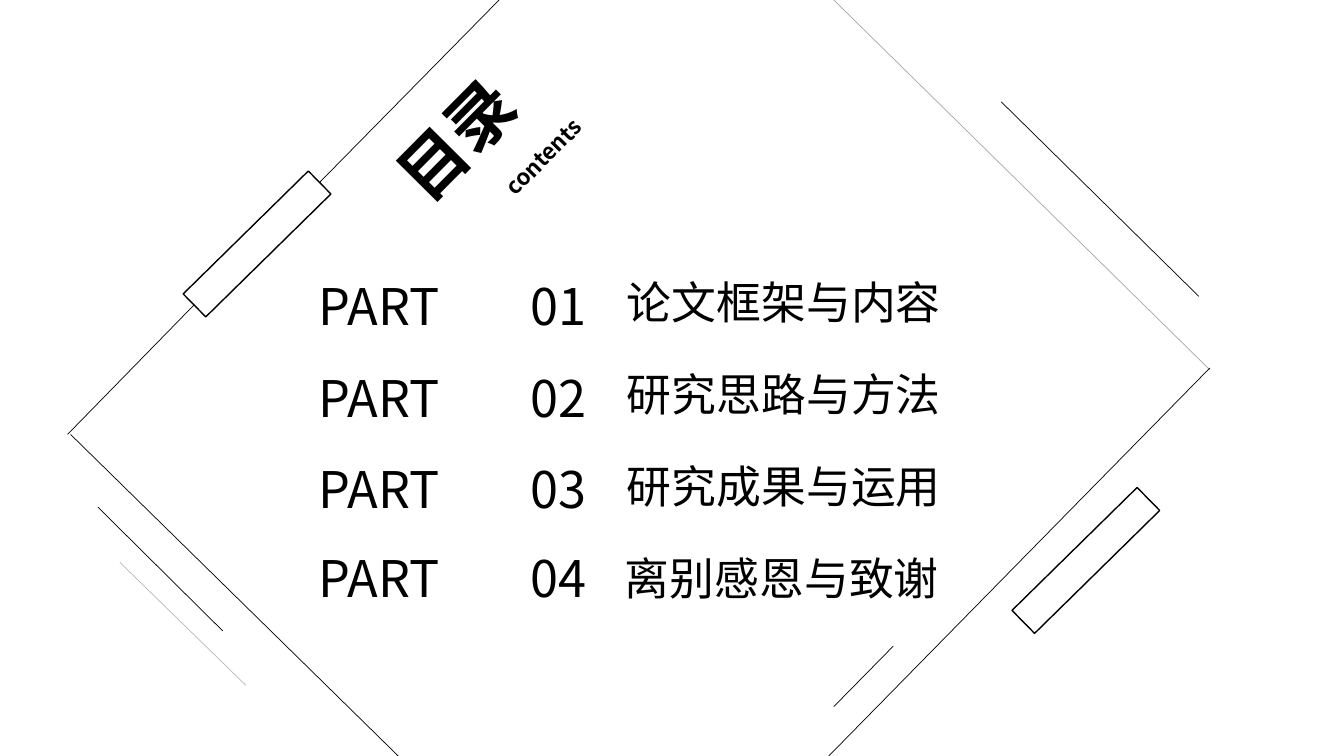
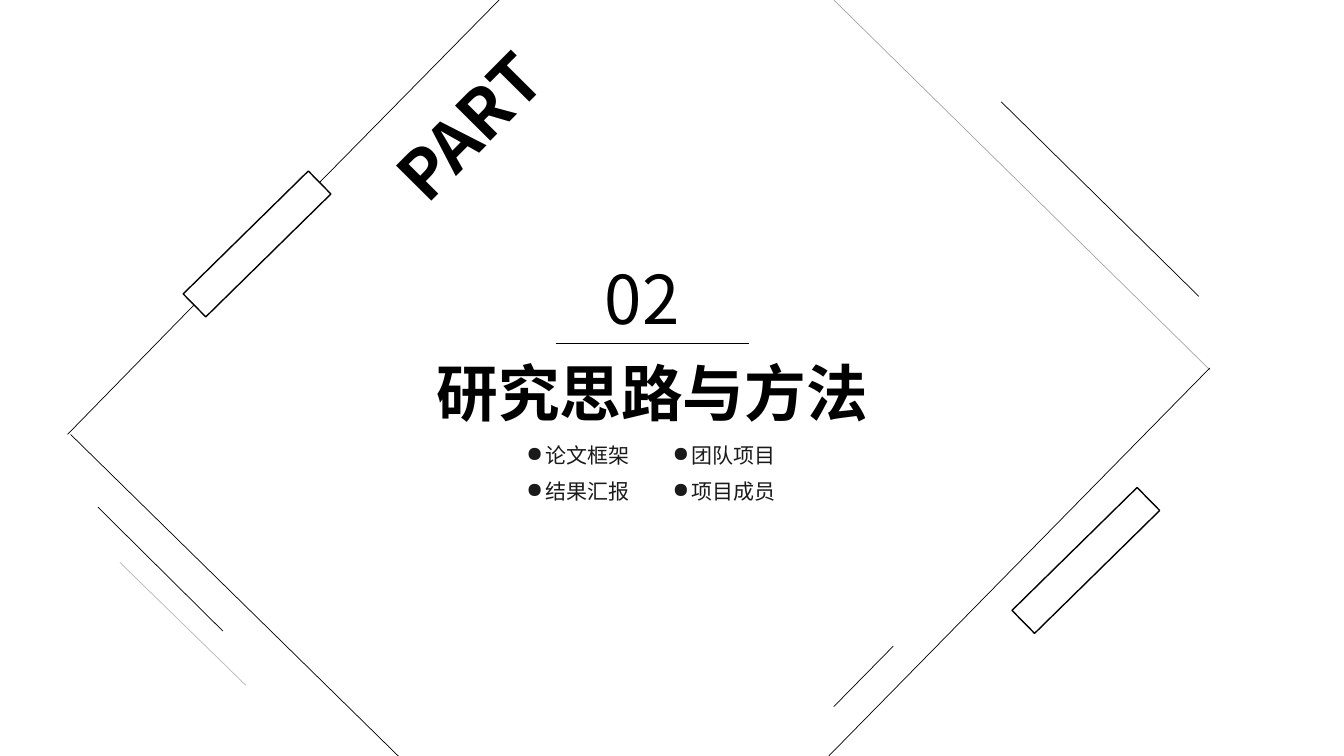
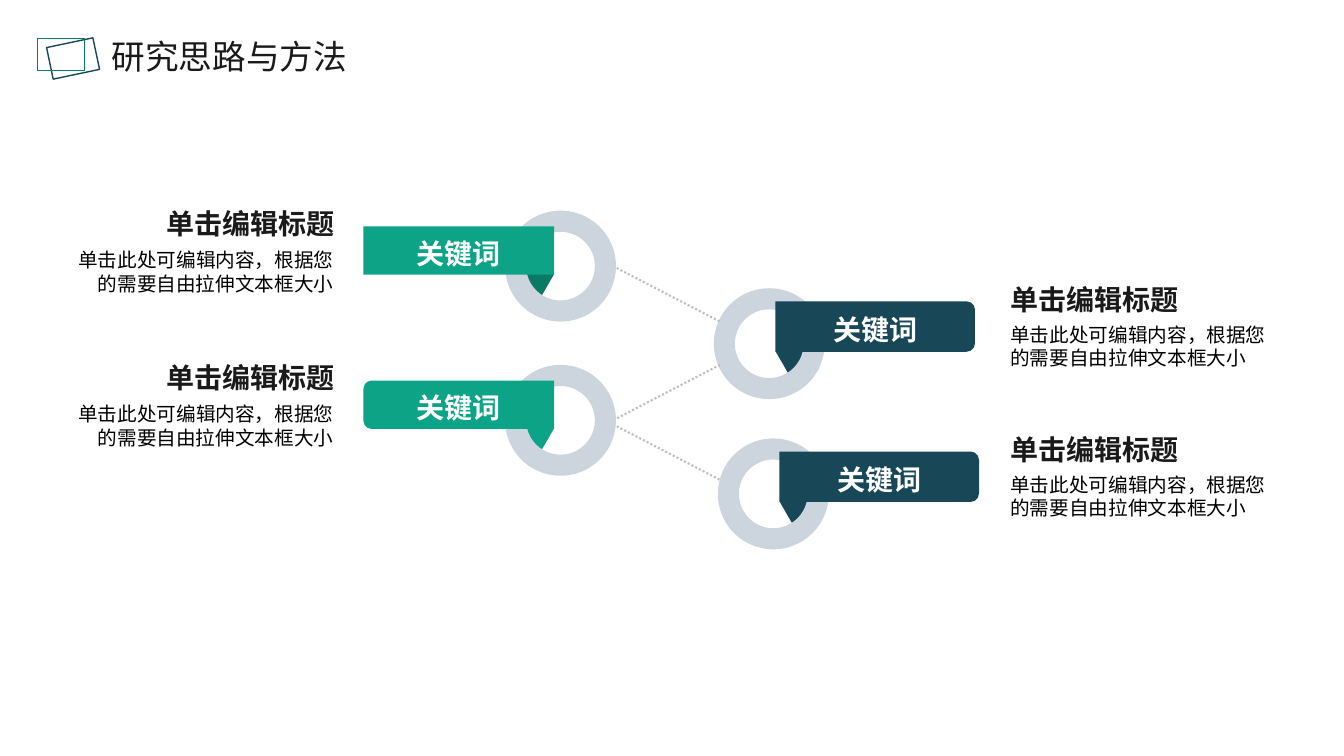
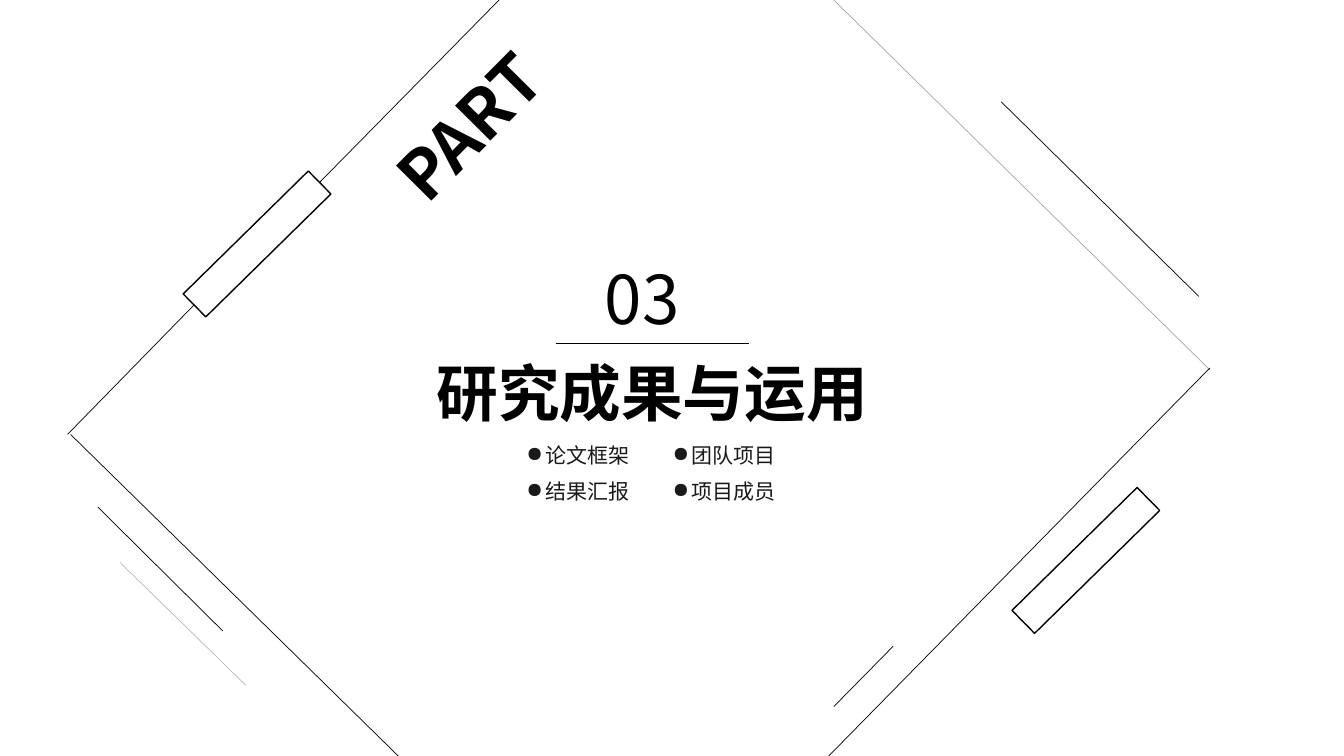
"""Builds four slides of a thesis defence deck: contents, two section pages and a keyword diagram."""
import pptx
import pptx.util
import pptx.dml.color
import pptx.enum.dml
import pptx.enum.shapes
import pptx.enum.text
import pptx.oxml.ns
import lxml.etree

Inches = pptx.util.Inches
SHAPE = pptx.enum.shapes.MSO_SHAPE
ALIGN = {
    "left": pptx.enum.text.PP_ALIGN.LEFT,
    "center": pptx.enum.text.PP_ALIGN.CENTER,
    "right": pptx.enum.text.PP_ALIGN.RIGHT,
    "justify": pptx.enum.text.PP_ALIGN.JUSTIFY,
}
ANCHOR = {
    "top": pptx.enum.text.MSO_ANCHOR.TOP,
    "bottom": pptx.enum.text.MSO_ANCHOR.BOTTOM,
}

CJK = "Noto Sans CJK SC"
LATIN = "Arial"
BLACK, INK, WHITE = "000000", "1A1A1A", "FFFFFF"
NAVY, GREEN, DARK_GREEN = "184858", "0DA386", "0A7A64"
RING, DOTS = "CCD4DE", "BFBFBF"
PADDING = (0.1, 0.05, 0.1, 0.05)
FLUSH = (0, 0, 0, 0)

FRAME_LINES = [
    ((4.95, 0), (3.17, 1.81), 100),
    ((3.95, 7.5), (0.7, 4.31), 100),
    ((12, 3.67), (8.27, 0), 34),
    ((11.89, 2.94), (9.93, 1.01), 100),
    ((12, 3.65), (8.22, 7.5), 100),
    ((2.21, 6.26), (0.97, 5.03), 100),
    ((2.44, 6.8), (1.19, 5.58), 28),
    ((8.86, 6.41), (8.27, 7.01), 100),
    ((1.93, 3.02), (0.67, 4.31), 100),
]
FRAME_BARS = [(1.68, 2.26, 1.74, 0.32), (9.9, 5.4, 1.74, 0.32)]
CORNER = (3.62, 0.59, 2.47, 0.91)
CORNER_TURN = 314.8

CONTENTS_TOP, CONTENTS_STEP = 2.68, 0.91
CONTENTS = [
    ("01", "论文框架与内容", 6.12, 0),
    ("02", "研究思路与方法", 6.12, 0),
    ("03", "研究成果与运用", 6.12, 0),
    ("04", "离别感恩与致谢", 6.1, -0.03),
]
TOPICS = [["论文框架", "团队项目"], ["结果汇报", "项目成员"]]
TOPIC_COLUMNS = [(5.22, 1.71), (6.67, 1.09)]

KEYWORD = "关键词"
HEADING = "单击编辑标题"
BODY = "单击此处可编辑内容，根据您的需要自由拉伸文本框大小"
SIDES = {
    "left": dict(tail=(0.07, 0.55), tail_turn=300, banner=(-0.7, -0.55, 0.48, 1.89),
                 banner_turn=270, label=(-0.88, 0.22), heading=(1.48, -0.04),
                 body=(0.76, 0.37), align="right"),
    "right": dict(tail=(0.66, 0.55), tail_turn=60, banner=(1.35, -0.61, 0.5, 1.98),
                  banner_turn=90, label=(1.18, 0.2), heading=(10.02, -0.06),
                  body=(10.02, 0.34), align="left"),
}
RIGHT_NODES = [(7.08, 2.86, NAVY, NAVY, True), (7.12, 4.35, NAVY, NAVY, True)]
LEFT_NODES = [(5.01, 2.09, GREEN, DARK_GREEN, False), (5.01, 3.62, GREEN, GREEN, True)]
LINKS = [
    ((6.08, 2.64), (7.14, 3.19)),
    ((7.14, 3.62), (6.08, 4.17)),
    ((6.08, 4.21), (7.14, 4.76)),
]


def color(value):
    return pptx.dml.color.RGBColor.from_string(value)


def place(item, area, turn=0):
    item.left, item.top, item.width, item.height = (Inches(value) for value in area)
    item.rotation = turn


def write(box, text, size=16, font=CJK, fill=BLACK, bold=False, align="left", anchor="top",
          padding=PADDING, wrap=True, spacing=1.0, bullet=None):
    frame = box.text_frame
    frame.word_wrap = wrap
    frame.auto_size = pptx.enum.text.MSO_AUTO_SIZE.SHAPE_TO_FIT_TEXT
    frame.vertical_anchor = ANCHOR[anchor]
    (frame.margin_left, frame.margin_top,
     frame.margin_right, frame.margin_bottom) = (Inches(value) for value in padding)
    para = frame.paragraphs[0]
    para.alignment = ALIGN[align]
    para.line_spacing = spacing
    if bullet:
        properties = para._p.get_or_add_pPr()
        properties.set("marL", str(Inches(0.19)))
        properties.set("indent", str(-Inches(0.19)))
        mark = lxml.etree.SubElement(properties, pptx.oxml.ns.qn("a:buChar"))
        mark.set("char", bullet)
    span = para.add_run()
    span.text = text
    span.font.size = pptx.util.Pt(size)
    span.font.bold = bold
    span.font.color.rgb = color(fill)
    span.font.name = font
    east_asian = lxml.etree.SubElement(span._r.get_or_add_rPr(), pptx.oxml.ns.qn("a:ea"))
    east_asian.set("typeface", CJK)


def add_text(page, area, text, turn=0, **style):
    box = page.shapes.add_textbox(0, 0, 0, 0)
    write(box, text, **style)
    place(box, area, turn)


def add_page(deck, title, area, turn=0, **style):
    page = deck.slides.add_slide(deck.slide_layouts[5])
    write(page.shapes.title, title, **style)
    place(page.shapes.title, area, turn)
    return page


def add_figure(page, kind, area, turn=0, fill=None, line=None, adjustments=()):
    figure = page.shapes.add_shape(kind, 0, 0, 0, 0)
    place(figure, area, turn)
    figure.shadow.inherit = False
    for index, value in enumerate(adjustments):
        figure.adjustments[index] = value
    if fill:
        figure.fill.solid()
        figure.fill.fore_color.rgb = color(fill)
    else:
        figure.fill.background()
    if line:
        figure.line.color.rgb = color(line)
        figure.line.width = pptx.util.Pt(1)
    else:
        figure.line.fill.background()


def add_line(page, start, end, fill=BLACK, width=0.5, opacity=100, dotted=False):
    line = page.shapes.add_connector(pptx.enum.shapes.MSO_CONNECTOR.STRAIGHT,
                                     *(Inches(value) for value in start + end))
    line.line.color.rgb = color(fill)
    line.line.width = pptx.util.Pt(width)
    if dotted:
        line.line.dash_style = pptx.enum.dml.MSO_LINE.ROUND_DOT
    properties = line._element.spPr
    if opacity < 100:
        tone = properties.find(".//" + pptx.oxml.ns.qn("a:srgbClr"))
        alpha = lxml.etree.SubElement(tone, pptx.oxml.ns.qn("a:alpha"))
        alpha.set("val", str(opacity * 1000))
    lxml.etree.SubElement(properties, pptx.oxml.ns.qn("a:effectLst"))


def add_frame(page):
    for start, end, opacity in FRAME_LINES:
        add_line(page, start, end, opacity=opacity)
    for area in FRAME_BARS:
        add_figure(page, SHAPE.RECTANGLE, area, 315.5, fill=WHITE, line=BLACK)


def add_contents(deck):
    page = add_page(deck, "目录", CORNER, CORNER_TURN, size=48, bold=True, align="justify")
    add_frame(page)
    add_text(page, (4.62, 0.9, 2.47, 0.37), "contents", CORNER_TURN, bold=True, align="justify")
    for index, (number, title, left, shift) in enumerate(CONTENTS):
        top = CONTENTS_TOP + index * CONTENTS_STEP
        add_text(page, (3.06, top + shift, 1.94, 0.71), "PART", size=36, align="justify")
        add_text(page, (5.06, top + shift, 0.95, 0.71), number, size=36, align="center")
        add_text(page, (left, top, 3.34, 0.64), title, size=32, wrap=False)


def add_section(deck, number, title):
    page = add_page(deck, title, (4.23, 3.47, 4.52, 0.84), size=44, bold=True, wrap=False)
    add_frame(page)
    add_text(page, CORNER, "PART", CORNER_TURN, size=48, bold=True, align="justify")
    add_text(page, (5.9, 2.5, 1.12, 0.91), number, size=48, align="justify")
    add_line(page, (5.51, 3.41), (7.43, 3.41))
    for row, topics in enumerate(TOPICS):
        for (left, width), topic in zip(TOPIC_COLUMNS, topics):
            add_text(page, (left, 4.39 + row * 0.36, width, 0.25), topic, size=15,
                     fill=INK, padding=FLUSH, bullet="●")


def add_node(page, side, left, top, fill, tail_fill, rounded):
    rule = SIDES[side]
    tail_x, tail_y = rule["tail"]
    banner_x, banner_y, width, height = rule["banner"]
    label_x, label_y = rule["label"]
    heading_left, heading_y = rule["heading"]
    body_left, body_y = rule["body"]
    add_figure(page, SHAPE.ISOSCELES_TRIANGLE, (left + tail_x, top + tail_y, 0.37, 0.32),
               rule["tail_turn"], fill=tail_fill)
    add_figure(page, SHAPE.DONUT, (left, top, 1.1, 1.1), fill=RING, adjustments=[0.19])
    add_figure(page, SHAPE.ROUND_2_SAME_RECTANGLE,
               (left + banner_x, top + banner_y, width, height), rule["banner_turn"],
               fill=fill, adjustments=[] if rounded else [0, 0])
    add_text(page, (left + label_x, top + label_y, 0.84, 0.37), KEYWORD, size=20, font=LATIN,
             fill=WHITE, bold=True, align="center", anchor="bottom", padding=FLUSH,
             wrap=False, spacing=1.2)
    add_text(page, (heading_left, top + heading_y, 1.84, 0.34), HEADING, size=20, font=LATIN,
             fill=INK, bold=True, align=rule["align"], padding=FLUSH)
    add_text(page, (body_left, top + body_y, 2.55, 0.47), BODY, size=14, font=LATIN,
             align=rule["align"], padding=FLUSH)


def add_diagram(deck, title):
    page = add_page(deck, title, (0.99, 0.31, 2.57, 0.5), size=24, fill=INK, align="center")
    add_figure(page, SHAPE.RECTANGLE, (0.49, 0.42, 0.47, 0.32), 348.1, line=NAVY)
    add_figure(page, SHAPE.RECTANGLE, (0.37, 0.38, 0.47, 0.32), line=DARK_GREEN)
    for node in RIGHT_NODES:
        add_node(page, "right", *node)
    for start, end in LINKS:
        add_line(page, start, end, fill=DOTS, width=1.5, dotted=True)
    for node in LEFT_NODES:
        add_node(page, "left", *node)


def main():
    deck = pptx.Presentation()
    deck.slide_width, deck.slide_height = Inches(13.33), Inches(7.5)
    add_contents(deck)
    add_section(deck, *CONTENTS[1][:2])
    add_diagram(deck, CONTENTS[1][1])
    add_section(deck, *CONTENTS[2][:2])
    deck.save("out.pptx")


if __name__ == "__main__":
    main()
